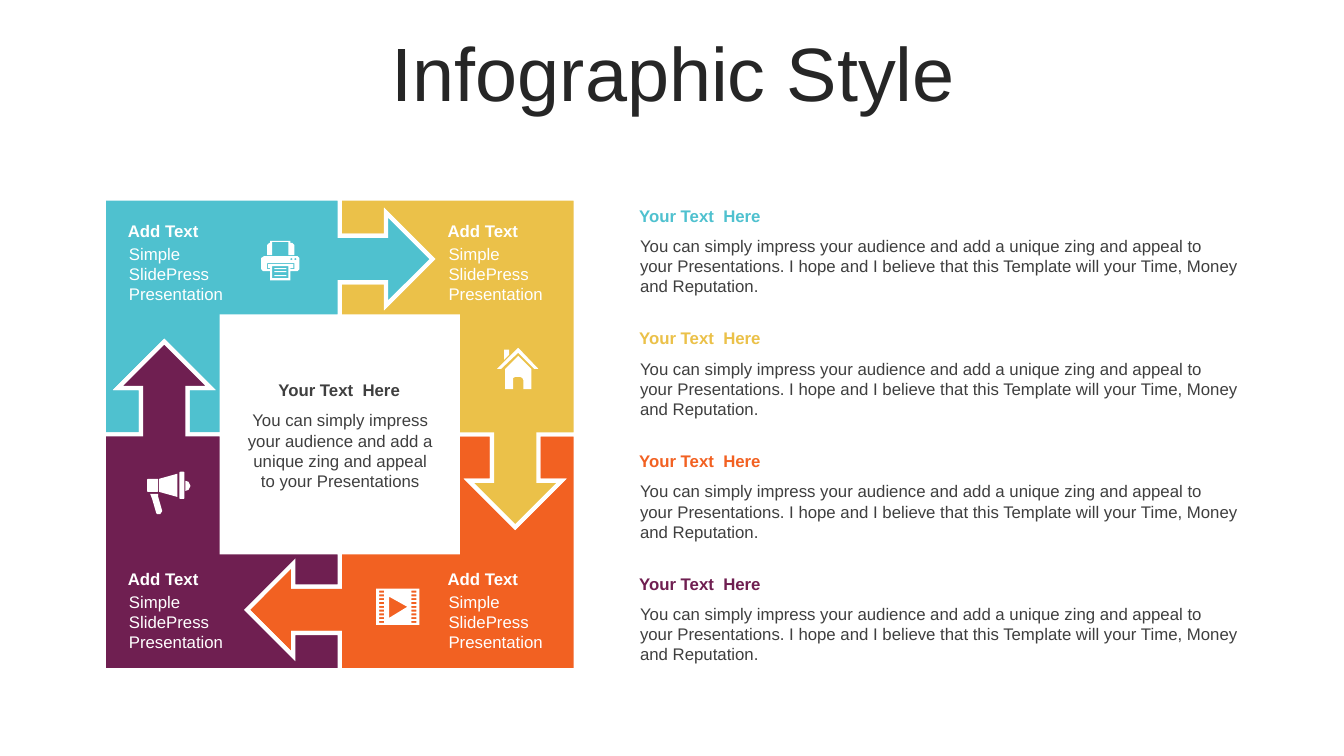
import math

from lxml import etree
from pptx import Presentation
from pptx.dml.color import RGBColor
from pptx.enum.text import MSO_ANCHOR, MSO_AUTO_SIZE, PP_ALIGN
from pptx.oxml.ns import qn
from pptx.util import Inches, Pt

LEFT, CENTER = PP_ALIGN.LEFT, PP_ALIGN.CENTER
MIDDLE = MSO_ANCHOR.MIDDLE
FIT_SHAPE = MSO_AUTO_SIZE.SHAPE_TO_FIT_TEXT

FONT = "Arial"
WHITE, DARK, TITLE_COLOR = "FFFFFF", "3F3F3F", "262626"
TEAL, YELLOW, ORANGE, PURPLE = "4FC1CF", "EBC149", "F26122", "6F1F51"
COLORS = [TEAL, YELLOW, ORANGE, PURPLE]

HEADING = "Your Text  Here"
LABEL = "Simple SlidePress Presentation"
CENTER_TEXT = ("You can simply impress your audience and add a unique zing "
               "and appeal to your Presentations")
PANEL_TEXT = ("You can simply impress your audience and add a unique zing and "
              "appeal to  your Presentations. I hope and I believe that this "
              "Template will your Time, Money and Reputation.")

CX, CY = 3.37, 4.31
HALF, INNER = 2.34, 1.17
ARROW = [(0, -1.97), (0.46, -1.97), (0.46, -2.2), (0.92, -1.74),
         (0.46, -1.28), (0.46, -1.51), (0, -1.51)]


def rgb(color):
    return RGBColor.from_string(color)


def format_paragraph(p, size, color, bold=False, align=LEFT):
    p.alignment = align
    p.font.name = FONT
    p.font.size = Pt(size)
    p.font.bold = bold
    p.font.color.rgb = rgb(color)


def add_text(s, text, x, y, w, h, color, bold=False, align=LEFT):
    box = s.shapes.add_textbox(Inches(x), Inches(y), Inches(w), Inches(h))
    tf = box.text_frame
    tf.word_wrap = True
    tf.auto_size = FIT_SHAPE
    tf.text = text
    format_paragraph(tf.paragraphs[0], 12, color, bold, align)


def add_freeform(s, contours, color, outline=None):
    points = [[(Inches(x), Inches(y)) for x, y in c] for c in contours]
    builder = s.shapes.build_freeform(*points[0][0])
    builder.add_line_segments(points[0][1:])
    for contour in points[1:]:
        builder.move_to(*contour[0])
        builder.add_line_segments(contour[1:])
    sp = builder.convert_to_shape()
    sp.shadow.inherit = False
    sp.fill.solid()
    sp.fill.fore_color.rgb = rgb(color)
    if outline is None:
        sp.line.fill.background()
        return
    sp.line.color.rgb = rgb(outline)
    sp.line.width = Pt(3)
    ln = sp.element.spPr.find(qn("a:ln"))
    etree.SubElement(ln, qn("a:miter")).set("lim", "800000")


def rect(left, top, right, bottom):
    return [(left, top), (right, top), (right, bottom), (left, bottom)]


def rounded(left, top, right, bottom, radius):
    corners = [(right - radius, bottom - radius), (left + radius, bottom - radius),
               (left + radius, top + radius), (right - radius, top + radius)]
    points = []
    for i, (x, y) in enumerate(corners):
        for step in range(5):
            a = math.radians(90 * i + 22.5 * step)
            points.append((x + radius * math.cos(a), y + radius * math.sin(a)))
    return points


def rotate(points, quarters):
    for _ in range(quarters):
        points = [(-y, x) for x, y in points]
    return points


def add_cycle(s):
    notch = rotate(ARROW, 3)[::-1]
    block = ([(-HALF, -HALF), (0, -HALF)] + ARROW
             + [(0, -INNER), (-INNER, -INNER), (-INNER, 0)]
             + notch + [(-HALF, 0)])
    for turn in (2, 1, 0, 3):
        contour = [(CX + x, CY + y) for x, y in rotate(block, turn)]
        add_freeform(s, [contour], COLORS[turn], WHITE)


def add_printer(s):
    body = [(2.62, 2.54), (2.95, 2.54), (2.97, 2.56), (2.97, 2.67), (2.95, 2.69),
            (2.88, 2.69), (2.88, 2.78), (2.68, 2.78), (2.68, 2.69), (2.61, 2.69),
            (2.59, 2.67), (2.59, 2.56)]
    slot = [(2.65, 2.61), (2.65, 2.67), (2.68, 2.67), (2.68, 2.66), (2.66, 2.66),
            (2.66, 2.62), (2.91, 2.62), (2.91, 2.66), (2.88, 2.66), (2.88, 2.67),
            (2.92, 2.67), (2.92, 2.61)]
    feed = [(2.68, 2.39), (2.88, 2.39), (2.88, 2.41), (2.9, 2.41), (2.92, 2.43),
            (2.92, 2.53), (2.86, 2.53), (2.86, 2.4), (2.7, 2.4), (2.7, 2.53),
            (2.65, 2.53), (2.65, 2.43), (2.67, 2.41), (2.68, 2.41)]
    lines = [rect(2.72, y, 2.84, y + 0.01) for y in (2.66, 2.69, 2.73)]
    lights = [rounded(x, 2.56, x + 0.02, 2.58, 0.01) for x in (2.88, 2.92)]
    paper = rect(2.7, 2.64, 2.86, 2.76)
    add_freeform(s, [body, slot, feed, paper] + lines + lights, WHITE)


def add_house(s):
    walls = [(5.14, 3.53), (5.27, 3.66), (5.27, 3.86), (5.19, 3.86), (5.19, 3.77),
             (5.18, 3.75), (5.16, 3.74), (5.11, 3.74), (5.09, 3.75), (5.09, 3.86),
             (5.01, 3.86), (5.01, 3.66)]
    chimney = [(5, 3.47), (5.05, 3.47), (5.05, 3.52), (5, 3.57)]
    roof = [(5.14, 3.45), (5.34, 3.66), (5.3, 3.66), (5.14, 3.5), (4.97, 3.66),
            (4.93, 3.66)]
    add_freeform(s, [walls, chimney, roof], WHITE)


def add_megaphone(s):
    handle = [(1.57, 4.9), (1.57, 4.93), (1.61, 5.07), (1.59, 5.1), (1.56, 5.1),
              (1.55, 5.09), (1.51, 4.95), (1.49, 4.9)]
    knob = [(1.84, 4.77), (1.87, 4.78), (1.89, 4.82), (1.87, 4.86), (1.84, 4.87)]
    horn = [(1.76, 4.7), (1.76, 4.93), (1.58, 4.88), (1.58, 4.75)]
    grip = rounded(1.46, 4.75, 1.57, 4.88, 0.01)
    rim = rounded(1.78, 4.68, 1.83, 4.95, 0.01)
    add_freeform(s, [handle, knob, grip, horn, rim], WHITE)


def add_film(s):
    holes = [rect(x, 5.86 + 0.0375 * i, x + 0.05, 5.88 + 0.0375 * i)
             for x in (3.76, 4.08) for i in range(9)]
    play = [(3.86, 5.92), (3.86, 6.13), (4.04, 6.02)]
    add_freeform(s, [rect(3.73, 5.84, 4.16, 6.2), play] + holes, WHITE)


def add_title(s, text):
    title = s.shapes.title
    title.left, title.top = Inches(0.35), Inches(0.37)
    title.width, title.height = Inches(12.66), Inches(0.79)
    tf = title.text_frame
    tf.text = text
    tf.vertical_anchor = MIDDLE
    p = tf.paragraphs[0]
    p.line_spacing = 0.9
    format_paragraph(p, 54, TITLE_COLOR, align=CENTER)


def main():
    prs = Presentation()
    prs.slide_width, prs.slide_height = Inches(13.33), Inches(7.5)
    s = prs.slides.add_slide(prs.slide_layouts[5])
    add_title(s, "Infographic Style")
    add_cycle(s)
    for y in (2.14, 5.59):
        for x in (1.17, 4.34):
            add_text(s, "Add Text", x, y, 1.21, 0.3, WHITE, bold=True)
            add_text(s, LABEL, x + 0.01, y + 0.23, 1.21, 0.71, WHITE)
    add_text(s, HEADING, 2.35, 3.72, 2.03, 0.3, DARK, bold=True, align=CENTER)
    add_text(s, CENTER_TEXT, 2.35, 4.02, 2.05, 0.91, DARK, align=CENTER)
    for i, color in enumerate(COLORS):
        y = 1.99 + 1.217 * i
        add_text(s, HEADING, 6.24, y, 6.15, 0.3, color, bold=True)
        add_text(s, PANEL_TEXT, 6.25, y + 0.3, 6.14, 0.71, DARK)
    add_printer(s)
    add_house(s)
    add_megaphone(s)
    add_film(s)
    prs.save("out.pptx")


if __name__ == "__main__":
    main()
